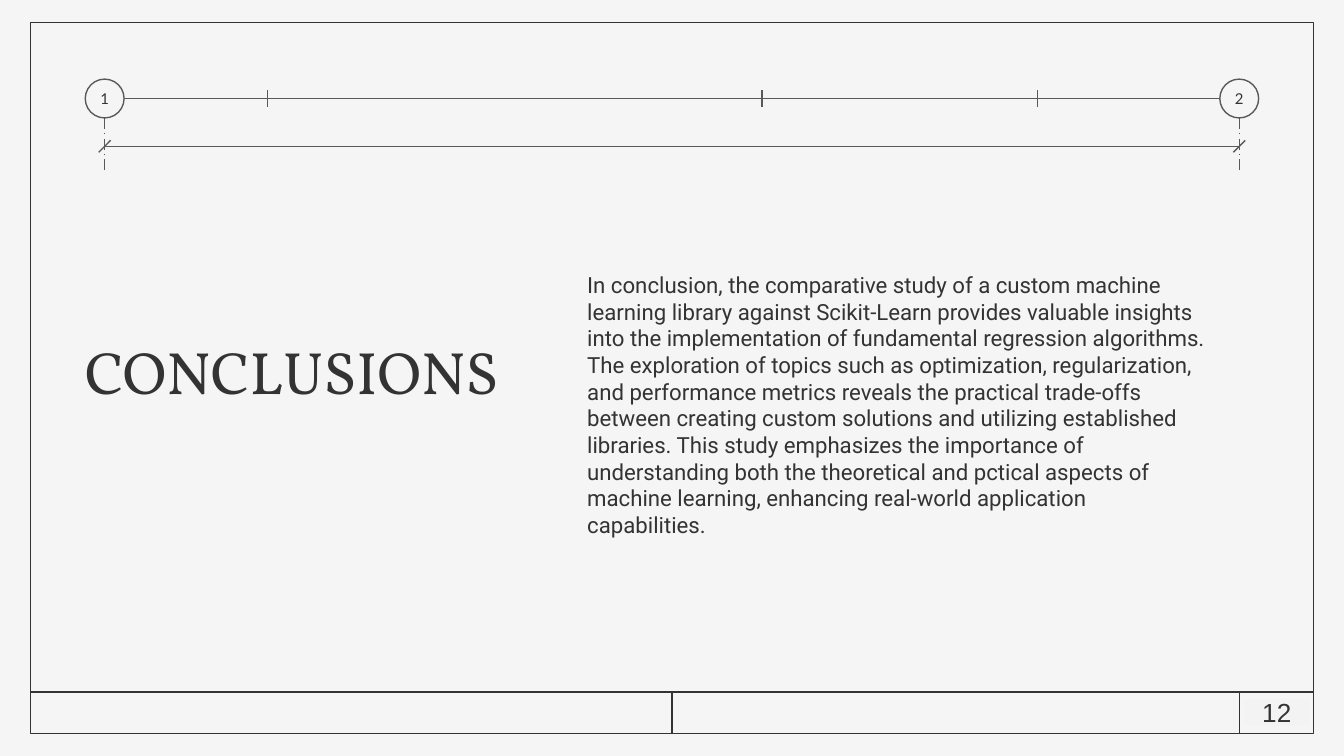
import pptx
import pptx.util
import pptx.dml.color
import pptx.enum.dml
import pptx.enum.shapes
import pptx.enum.text
from pptx.oxml.ns import qn
from lxml import etree

Pt = pptx.util.Pt
SHAPE = pptx.enum.shapes.MSO_SHAPE
ALIGN = pptx.enum.text.PP_ALIGN
DASH_DOT = pptx.enum.dml.MSO_LINE.LONG_DASH_DOT

COLORS = {"paper": "F5F5F5", "ink": "333333", "rule": "595959", "chip": "F3F3F3"}
CONCLUSION = (
    "In conclusion, the comparative study of a custom machine learning library "
    "against Scikit-Learn provides valuable insights into the implementation of "
    "fundamental regression algorithms. The exploration of topics such as "
    "optimization, regularization, and performance metrics reveals the practical "
    "trade-offs between creating custom solutions and utilizing established "
    "libraries. This study emphasizes the importance of understanding both the "
    "theoretical and pctical aspects of machine learning, enhancing real-world "
    "application capabilities."
)


def rgb(name):
    return pptx.dml.color.RGBColor.from_string(COLORS[name])


def set_attrs(obj, values):
    for name, value in values.items():
        setattr(obj, name, value)


def add_line(s, x1, y1, x2, y2, color, dash=None):
    ln = s.shapes.add_connector(
        pptx.enum.shapes.MSO_CONNECTOR.STRAIGHT, Pt(x1), Pt(y1), Pt(x2), Pt(y2))
    ln.line.color.rgb = rgb(color)
    set_attrs(ln.line, {"width": Pt(0.75), "dash_style": dash})
    etree.SubElement(ln._element.spPr, qn("a:effectLst"))


def add_outline(s, kind, box, fill=None, line=None):
    sp = s.shapes.add_shape(kind, *map(Pt, box))
    sp.shadow.inherit = False
    if fill:
        sp.fill.solid()
        sp.fill.fore_color.rgb = rgb(fill)
    else:
        sp.fill.background()
    if line:
        sp.line.color.rgb = rgb(line)
        sp.line.width = Pt(0.75)
    else:
        sp.line.fill.background()
    return sp


def write(sp, text, font, size, align, inset=0, wrap=True):
    tf = sp.text_frame
    margins = {f"margin_{side}": Pt(inset) for side in ("left", "top", "right", "bottom")}
    set_attrs(tf, {**margins, "word_wrap": wrap,
                   "auto_size": pptx.enum.text.MSO_AUTO_SIZE.NONE,
                   "vertical_anchor": pptx.enum.text.MSO_ANCHOR.MIDDLE})
    p = tf.paragraphs[0]
    set_attrs(p, {"alignment": align, "space_before": Pt(0)})
    r = p.add_run()
    r.text = text
    set_attrs(r.font, {"name": font, "size": Pt(size), "bold": False})
    r.font.color.rgb = rgb("ink")
    return p


def draw_frame(s, left, top, width, height, number):
    """Sheet border with a title strip along the bottom and the page number."""
    right, bottom = left + width, top + height
    strip = bottom - 22.3
    add_outline(s, SHAPE.RECTANGLE, (left, top, width, height), line="ink")
    add_line(s, left, strip, right, strip, "ink")
    for x in (left + width / 2, right - 39.8):
        add_line(s, x, strip, x, bottom, "ink")
    chip = add_outline(s, SHAPE.RECTANGLE, (right - 37, strip + 3.6, 34.6, 14.4), fill="chip")
    write(chip, number, "Arial", 14, ALIGN.CENTER, wrap=False)


def draw_dimension_axis(s, left, top, width, ticks):
    """Numbered grid axis with tick marks, above a dimension line."""
    right, radius = left + width, 10.4
    axis, dimension = top + radius, top + 36
    for number, x in (("1", left), ("2", right)):
        add_line(s, x, axis + radius, x, top + 51, "rule", DASH_DOT)
        bubble = add_outline(s, SHAPE.OVAL, (x - radius, top, 2 * radius, 2 * radius), line="rule")
        write(bubble, number, "Lato", 8, ALIGN.CENTER, wrap=False)
        add_line(s, x + 3.2, dimension - 3.2, x - 3.2, dimension + 3.2, "rule")
    add_line(s, left, dimension, right, dimension, "rule")
    add_line(s, left + radius, axis, right - radius, axis, "rule")
    for offset in ticks:
        add_line(s, left + offset, axis - 4.3, left + offset, axis + 4.3, "rule")


def fill_placeholder(sp, box, text, font, size):
    set_attrs(sp, dict(zip(("left", "top", "width", "height"), map(Pt, box))))
    return write(sp, text, font, size, ALIGN.LEFT, inset=7.2)


def main():
    prs = pptx.Presentation()
    set_attrs(prs, {"slide_width": Pt(720), "slide_height": Pt(405)})
    s = prs.slides.add_slide(prs.slide_layouts[0])
    s.background.fill.solid()
    s.background.fill.fore_color.rgb = rgb("paper")

    draw_frame(s, 16.3, 12, 687.4, 381, "12")
    fill_placeholder(s.shapes.title, (38.2, 165.6, 421.2, 66.2), "CONCLUSIONS", "Vollkorn", 32)
    body = fill_placeholder(
        s.placeholders[1], (289.4, 132.5, 363.6, 168.5), CONCLUSION, "Roboto", 11.9)
    body.line_spacing = Pt(14.3)
    body._p.get_or_add_pPr().set("marL", str(Pt(18)))
    draw_dimension_axis(s, 56.1, 42.4, 607.8, (87.2, 352.2, 499.7))

    prs.save("out.pptx")


if __name__ == "__main__":
    main()
